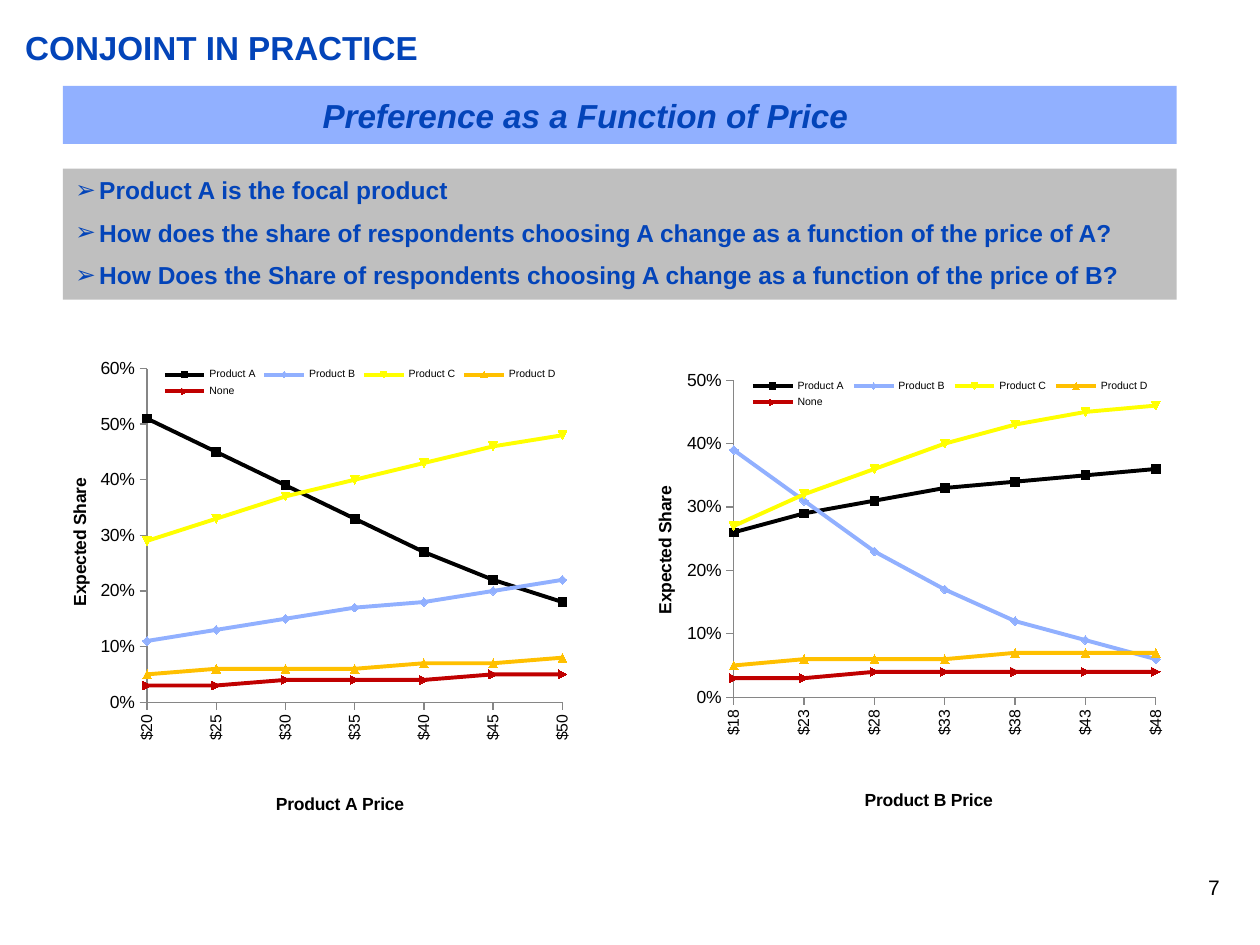
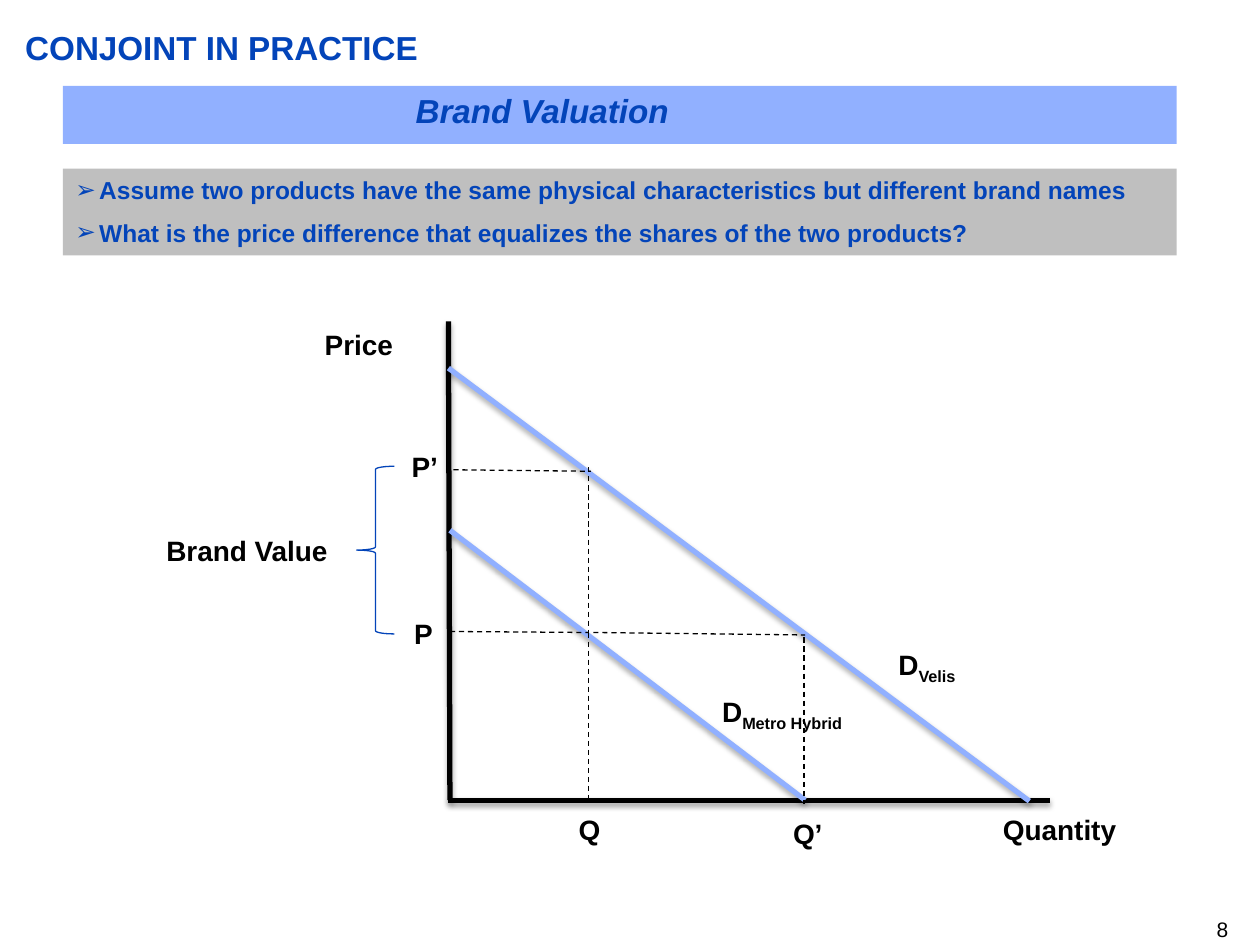
from dataclasses import dataclass

from lxml import etree
from pptx import Presentation
from pptx import util as u
from pptx.chart import data as chart_data
from pptx.dml import color
from pptx.enum import chart as charts, dml, shapes, text
from pptx.oxml import ns


@dataclass(frozen=True)
class Theme:
    font: str = "Arial"
    blue: str = "0344B9"
    sky: str = "91B0FF"
    gray: str = "BFBFBF"
    axis: str = "868686"
    black: str = "000000"
    yellow: str = "FFFF00"
    orange: str = "FFC000"
    red: str = "C00000"
    heading: int = 19
    label: int = 16
    bullet: int = 14
    number: int = 12
    axis_title: int = 10
    category: int = 9
    legend: int = 6
    thick: int = 3
    curve: float = 2.25
    thin: float = 0.75


def rgb(value):
    return color.RGBColor.from_string(value)


def assign(target, values):
    for name, value in values.items():
        setattr(target, name, value)


def add_xml(parent, tag, **attributes):
    child = etree.SubElement(parent, ns.qn(tag))
    for name, value in attributes.items():
        child.set(name, str(value))
    return child


def set_layout(parent, inner=False, **places):
    for old in parent.findall(ns.qn("c:layout")):
        parent.remove(old)
    layout = etree.Element(ns.qn("c:layout"))
    manual = add_xml(layout, "c:manualLayout")
    if inner:
        add_xml(manual, "c:layoutTarget", val="inner")
    for mode in ("xMode", "yMode"):
        add_xml(manual, f"c:{mode}", val="edge")
    for name, value in places.items():
        add_xml(manual, f"c:{name}", val=value)
    overlay = parent.find(ns.qn("c:overlay"))
    parent.insert(0 if overlay is None else parent.index(overlay), layout)


class SlideBuilder:
    def __init__(self, deck, theme):
        self.deck = deck
        self.theme = theme
        self.page = None

    def style_font(self, font, size, shade, **values):
        assign(font, {"name": self.theme.font, "size": u.Pt(size), **values})
        font.color.rgb = rgb(shade)

    def style_line(self, line, shade, width):
        line.color.rgb = rgb(shade)
        line.width = u.Pt(width)

    def start(self, subtitle, subtitle_place, bullets, note_height, number, number_place):
        theme = self.theme
        self.page = self.deck.slides.add_slide(self.deck.slide_layouts[6])
        self.text_box((0.51, 0.56, 23.7, 0.81), "CONJOINT IN PRACTICE",
                      theme.heading, theme.blue, bold=True)
        self.panel((1.27, 1.73, 22.45, 1.17), theme.sky)
        self.text_box((*subtitle_place, 18.06, 0.81), subtitle, theme.heading, theme.blue,
                      align=text.PP_ALIGN.CENTER, bold=True, italic=True)
        self.bullets((1.27, 3.4, 22.45, note_height), bullets)
        self.text_box(number_place, number, theme.number, theme.black,
                      align=text.PP_ALIGN.RIGHT)

    def text_box(self, place, words, size, shade, align=text.PP_ALIGN.LEFT,
                 inset=(0, 0), subscript="", **values):
        box = self.page.shapes.add_textbox(*map(u.Cm, place))
        across, down = map(u.Cm, inset)
        assign(box.text_frame, {"word_wrap": True, "margin_left": across,
                                "margin_right": across, "margin_top": down,
                                "margin_bottom": down})
        para = box.text_frame.paragraphs[0]
        para.alignment = align
        for words_part, baseline in ((words, 0), (subscript, -25000)):
            if words_part:
                span = para.add_run()
                span.text = words_part
                self.style_font(span.font, size, shade, **values)
                if baseline:
                    span.font._element.set("baseline", str(baseline))

    def label(self, left, top, width, words, subscript=""):
        self.text_box((left, top, width, 0.94), words, self.theme.label, self.theme.black,
                      text.PP_ALIGN.CENTER, (0.25, 0.13), subscript, bold=True)

    def panel(self, place, fill):
        box = self.page.shapes.add_shape(shapes.MSO_SHAPE.RECTANGLE, *map(u.Cm, place))
        box.shadow.inherit = False
        box.fill.solid()
        box.fill.fore_color.rgb = rgb(fill)
        box.line.fill.background()
        return box

    def bullets(self, place, lines):
        frame = self.panel(place, self.theme.gray).text_frame
        assign(frame, {"word_wrap": True, "vertical_anchor": text.MSO_ANCHOR.TOP})
        for index, words in enumerate(lines):
            para = frame.add_paragraph() if index else frame.paragraphs[0]
            para.alignment = text.PP_ALIGN.LEFT
            if index:
                para.space_before = u.Pt(7.6)
            properties = para._p.get_or_add_pPr()
            properties.set("marL", str(u.Cm(0.48)))
            properties.set("indent", str(-u.Cm(0.48)))
            add_xml(properties, "a:buFont", typeface=self.theme.font)
            add_xml(properties, "a:buChar", char="➢")
            span = para.add_run()
            span.text = words
            self.style_font(span.font, self.theme.bullet, self.theme.blue, bold=True)

    def line(self, ends, shade, width, dashed=False, shadow=False):
        line = self.page.shapes.add_connector(
            shapes.MSO_CONNECTOR.STRAIGHT, *map(u.Cm, ends))
        self.style_line(line.line, shade, width)
        if dashed:
            line.line.dash_style = dml.MSO_LINE.DASH
        effects = add_xml(line._element.spPr, "a:effectLst")
        if shadow:
            outer = add_xml(effects, "a:outerShdw", blurRad=u.Pt(3.1), dist=u.Pt(1.8),
                            dir=5400000, rotWithShape=0)
            tone = add_xml(outer, "a:srgbClr", val=self.theme.black)
            add_xml(tone, "a:alpha", val=35000)

    def brace(self, place):
        brace = self.page.shapes.add_shape(shapes.MSO_SHAPE.LEFT_BRACE, *map(u.Cm, place))
        brace.shadow.inherit = False
        brace.fill.background()
        self.style_line(brace.line, self.theme.blue, self.theme.thin)

    def axis(self, axis, title, size, number_format, title_place, title_turn, label_turn):
        theme = self.theme
        assign(axis, {"has_major_gridlines": False,
                      "major_tick_mark": charts.XL_TICK_MARK.OUTSIDE,
                      "minor_tick_mark": charts.XL_TICK_MARK.NONE})
        assign(axis.tick_labels, {"number_format": number_format,
                                  "number_format_is_linked": False})
        self.style_font(axis.tick_labels.font, size, theme.black)
        self.style_line(axis.format.line, theme.axis, theme.thin)
        labels = axis._element.find(ns.qn("c:txPr"))
        labels.find(ns.qn("a:bodyPr")).set("rot", str(label_turn))
        frame = axis.axis_title.text_frame
        frame.text = title
        self.style_font(frame.paragraphs[0].runs[0].font, theme.axis_title, theme.black,
                        bold=True)
        frame._txBody.find(ns.qn("a:bodyPr")).set("rot", str(title_turn))
        x, y = title_place
        set_layout(axis._element.find(ns.qn("c:title")), x=x, y=y)

    def share_chart(self, place, price_title, prices, shares, maximum, plot_height):
        theme = self.theme
        values = chart_data.CategoryChartData(number_format="0%")
        values.categories = [f"${price}" for price in prices]
        for name, series_shares in shares.items():
            values.add_series(name, [share / 100 for share in series_shares])
        chart = self.page.shapes.add_chart(
            charts.XL_CHART_TYPE.LINE_MARKERS, *map(u.Cm, place), values).chart
        assign(chart, {"has_title": False, "has_legend": True})
        self.style_font(chart.font, 18, theme.black)

        assign(chart.legend, {"position": charts.XL_LEGEND_POSITION.BOTTOM,
                              "include_in_layout": False})
        self.style_font(chart.legend.font, theme.legend, theme.black)
        set_layout(chart.legend._element, x=0.22, y=0.03, w=0.74, h=0.08)
        set_layout(chart._chartSpace.chart.plotArea, inner=True,
                   x=0.2, y=0.04, w=0.76, h=plot_height)

        self.axis(chart.category_axis, price_title, theme.category, "General",
                  (0.43, 0.91), 0, -5400000)
        self.axis(chart.value_axis, "Expected Share", theme.axis_title, "0%",
                  (0.05, 0.26), -5400000, 0)
        assign(chart.value_axis, {"minimum_scale": 0, "maximum_scale": maximum,
                                  "major_unit": 0.1})
        value_axis = chart.value_axis._element
        for old in value_axis.findall(ns.qn("c:crossBetween")):
            value_axis.remove(old)
        between = etree.Element(ns.qn("c:crossBetween"), val="midCat")
        value_axis.find(ns.qn("c:crosses")).addnext(between)

        plot = chart.plots[0]
        plot.vary_by_categories = False
        shades = (theme.black, theme.sky, theme.yellow, theme.orange, theme.red)
        for series, shade in zip(plot.series, shades):
            series.smooth = False
            self.style_line(series.format.line, shade, theme.curve)
            series.marker.size = 5
            series.marker.format.fill.solid()
            series.marker.format.fill.fore_color.rgb = rgb(shade)
            self.style_line(series.marker.format.line, shade, theme.thin)


def build_price_slide(builder):
    builder.start("Preference as a Function of Price", (2.77, 1.93), (
        "Product A is the focal product",
        "How does the share of respondents choosing A change as a function of the price of A?",
        "How Does the Share of respondents choosing A change as a function of the price of B?",
    ), 2.64, "7", (18.67, 17.63, 5.92, 1.27))
    builder.share_chart((12.55, 7.29, 11.2, 9.4), "Product B Price", range(18, 49, 5), {
        "Product A": (26, 29, 31, 33, 34, 35, 36),
        "Product B": (39, 31, 23, 17, 12, 9, 6),
        "Product C": (27, 32, 36, 40, 43, 45, 46),
        "Product D": (5, 6, 6, 6, 7, 7, 7),
        "None": (3, 3, 4, 4, 4, 4, 4),
    }, 0.5, 0.68)
    builder.share_chart((0.76, 7.04, 11.02, 9.75), "Product A Price", range(20, 51, 5), {
        "Product A": (51, 45, 39, 33, 27, 22, 18),
        "Product B": (11, 13, 15, 17, 18, 20, 22),
        "Product C": (29, 33, 37, 40, 43, 46, 48),
        "Product D": (5, 6, 6, 6, 7, 7, 8),
        "None": (3, 3, 4, 4, 4, 5, 5),
    }, 0.6, 0.69)


def build_brand_slide(builder):
    theme = builder.theme
    builder.start("Brand Valuation", (1.9, 1.83), (
        "Assume two products have the same physical characteristics but different brand names",
        "What is the price difference that equalizes the shares of the two products?",
    ), 1.75, "8", (19.48, 18.47, 5.28, 0.51))
    axes = ((9.04, 6.48, 9.07, 16.13), (21.16, 16.13, 9.04, 16.13))
    demands = ((9.07, 10.69, 16.23, 16.13), (9.04, 7.42, 20.75, 16.15))
    for shade, group in ((theme.black, axes), (theme.sky, demands)):
        for ends in group:
            builder.line(ends, shade, theme.thick, shadow=True)
    for guide in (
        (9.07, 12.73, 11.86, 12.75),
        (11.86, 12.75, 11.86, 16.13),
        (11.96, 12.75, 16.23, 12.8),
        (16.21, 12.85, 16.21, 16.21),
        (11.86, 9.42, 11.86, 12.8),
        (9.14, 9.47, 11.91, 9.5),
    ):
        builder.line(guide, theme.black, theme.thin, dashed=True)
    for label in (
        (5.99, 6.48, 2.49, "Price"),
        (19.71, 16.26, 3.3, "Quantity"),
        (14.1, 13.87, 3.33, "D", "Metro Hybrid"),
        (17.02, 12.93, 3.33, "D", "Velis"),
        (7.29, 12.29, 2.49, "P"),
        (10.64, 16.26, 2.49, "Q"),
        (15.04, 16.33, 2.49, "Q’"),
        (7.32, 8.94, 2.49, "P’"),
        (3.05, 10.62, 3.86, "Brand Value"),
    ):
        builder.label(*label)
    builder.brace((7.19, 9.4, 0.76, 3.38))


def main():
    deck = Presentation()
    assign(deck, {"slide_width": u.Cm(25.4), "slide_height": u.Cm(19.05)})
    builder = SlideBuilder(deck, Theme())
    build_price_slide(builder)
    build_brand_slide(builder)
    deck.save("out.pptx")


if __name__ == "__main__":
    main()
